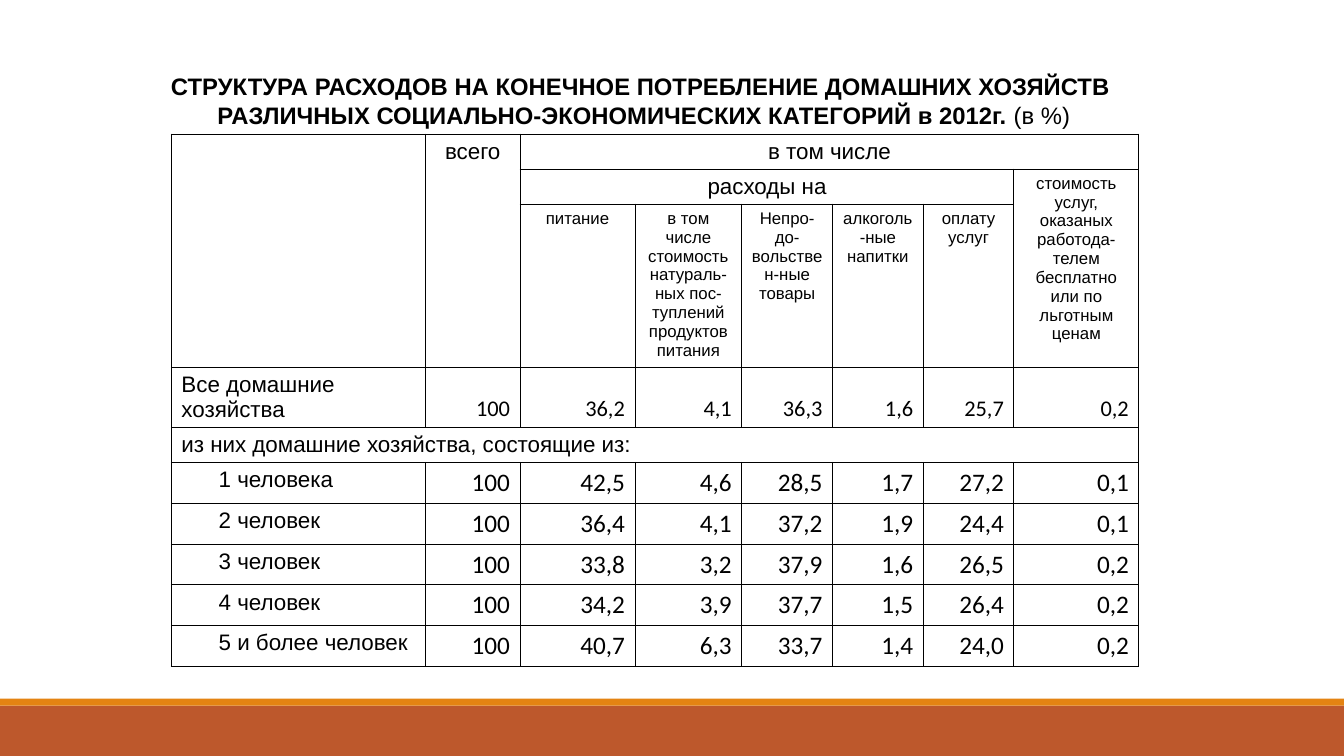
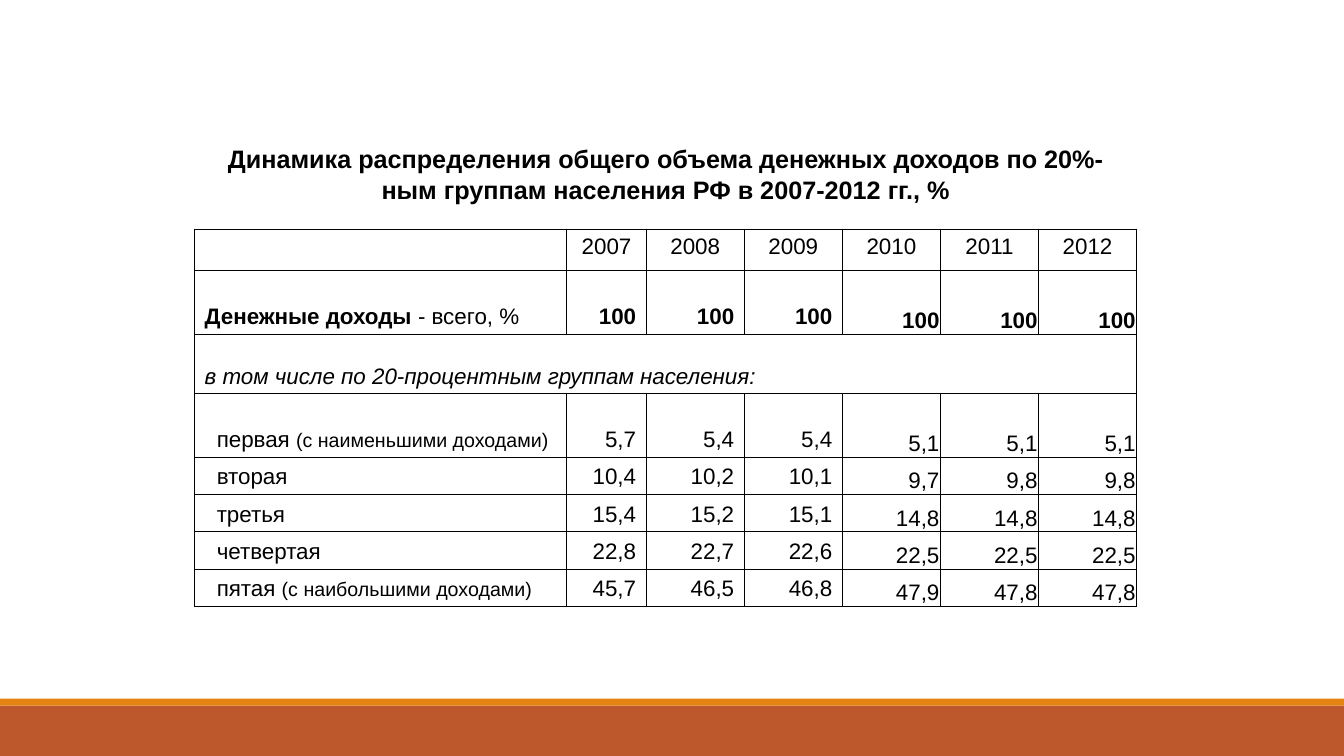
from pptx import Presentation
from pptx.dml.color import RGBColor
from pptx.enum.shapes import MSO_SHAPE
from pptx.enum.text import MSO_ANCHOR, PP_ALIGN
from pptx.oxml import parse_xml
from pptx.oxml.ns import nsdecls
from pptx.util import Inches, Pt

BLACK = RGBColor(0x00, 0x00, 0x00)
WHITE = RGBColor(0xFF, 0xFF, 0xFF)
RUST = RGBColor(0xBD, 0x58, 0x2C)
AMBER = RGBColor(0xE4, 0x83, 0x12)
LEFT, MID, RIGHT = PP_ALIGN.LEFT, PP_ALIGN.CENTER, PP_ALIGN.RIGHT
TOP, LOW = MSO_ANCHOR.TOP, MSO_ANCHOR.BOTTOM


class Deck:
    """Holds the style and the current slide; lengths are percents of its size."""

    font = "Arial"
    bands = ((93.33, 6.67, RUST), (92.4, 0.93, AMBER))

    def __init__(self):
        self.show = Presentation()
        self.show.slide_width = Inches(13.33)
        self.show.slide_height = Inches(7.5)
        self.slide = None

    def wide(self, share):
        return round(self.show.slide_width * share / 100)

    def high(self, share):
        return round(self.show.slide_height * share / 100)

    def box(self, left, top, width, height):
        return self.wide(left), self.high(top), self.wide(width), self.high(height)

    def page(self):
        self.slide = self.show.slides.add_slide(self.show.slide_layouts[6])
        for top, height, color in self.bands:
            self.band(top, height, color)

    def band(self, top, height, color):
        shape = self.slide.shapes.add_shape(
            MSO_SHAPE.RECTANGLE, *self.box(0, top, 100, height))
        shape.shadow.inherit = False
        shape.fill.solid()
        shape.fill.fore_color.rgb = color
        shape.line.fill.background()

    def style(self, runs, size, font=None, bold=False, slant=False):
        for run in runs:
            face = run.font
            face.name = font or self.font
            face.size = Pt(size)
            face.bold = bold
            face.italic = slant
            face.color.rgb = BLACK

    def tail(self, para, text, size):
        run = para.add_run()
        run.text = text
        self.style([run], size)

    def title(self, place, text, size, wrap=True):
        frame = self.slide.shapes.add_textbox(*self.box(*place)).text_frame
        frame.word_wrap = wrap
        frame.vertical_anchor = MSO_ANCHOR.MIDDLE
        para = frame.paragraphs[0]
        para.text = text
        para.alignment = MID
        self.style(para.runs, size, bold=True)
        return para

    def table(self, left, top, cols, rows):
        place = self.box(left, top, sum(cols), sum(rows))
        table = self.slide.shapes.add_table(len(rows), len(cols), *place).table
        table.first_row = table.horz_banding = False
        for col, share in zip(table.columns, cols):
            col.width = self.wide(share)
        for row, share in zip(table.rows, rows):
            row.height = self.high(share)
        for cell in table.iter_cells():
            self.frame(cell)
        return table

    def frame(self, cell):
        props = cell._tc.get_or_add_tcPr()
        for side in "LRTB":
            props.append(parse_xml(
                f'<a:ln{side} {nsdecls("a")} w="{Pt(0.75)}"><a:solidFill>'
                f'<a:srgbClr val="{BLACK}"/></a:solidFill></a:ln{side}>'))
        cell.fill.solid()
        cell.fill.fore_color.rgb = WHITE

    def put(self, cell, text, size=16, align=LEFT, anchor=TOP, indent=0, **look):
        cell.vertical_anchor = anchor
        cell.margin_left = Inches(0.1 + indent)
        para = cell.text_frame.paragraphs[0]
        para.text = text
        para.alignment = align
        self.style(para.runs, size, **look)
        return para

    def tight(self, cell):
        cell.margin_left = cell.margin_right = Inches(0.01)
        cell.margin_top = cell.margin_bottom = Inches(0.01)
        para = cell.text_frame.paragraphs[0]
        para.line_spacing = 1.15
        para.space_after = Pt(10)


def spend(deck):
    deck.page()
    table = deck.table(12.75, 17.73,
                       [18.9, 7.05, 8.55, 7.95, 6.75, 6.75, 6.75, 9.3],
                       [4.63, 4.63, 21.6, 7.9, 4.63] + [5.4] * 5)
    spans = ((0, 0, 2, 0), (0, 1, 2, 1), (0, 2, 0, 7),
             (1, 2, 1, 6), (1, 7, 2, 7), (4, 0, 4, 7))
    for top, left, low, right in spans:
        table.cell(top, left).merge(table.cell(low, right))
    heads = (
        (0, 1, 16, "всего"),
        (0, 2, 16, "в том числе"),
        (1, 2, 16, "расходы на"),
        (1, 7, 12, "стоимость услуг, оказаных работода-телем бесплатно "
                   "или по льготным ценам"),
        (2, 2, 12, "питание"),
        (2, 3, 12, "в том числе стоимость натураль-ных пос-туплений "
                   "продуктов питания"),
        (2, 4, 12, "Непро-до-вольствен-ные товары"),
        (2, 5, 12, "алкоголь-ные напитки"),
        (2, 6, 12, "оплату услуг"),
    )
    for row, col, size, text in heads:
        deck.put(table.cell(row, col), text, size, MID)
    deck.put(table.cell(4, 0), "из них домашние хозяйства, состоящие из:")
    data = {
        3: ("Все домашние хозяйства", "100 36,2 4,1 36,3 1,6 25,7 0,2"),
        5: ("1 человека", "100 42,5 4,6 28,5 1,7 27,2 0,1"),
        6: ("2 человек", "100 36,4 4,1 37,2 1,9 24,4 0,1"),
        7: ("3 человек", "100 33,8 3,2 37,9 1,6 26,5 0,2"),
        8: ("4 человек", "100 34,2 3,9 37,7 1,5 26,4 0,2"),
        9: ("5 и более человек", "100 40,7 6,3 33,7 1,4 24,0 0,2"),
    }
    for row, (name, line) in data.items():
        total = row == 3
        deck.put(table.cell(row, 0), name, anchor=LOW if total else TOP,
                 indent=0 if total else 0.37)
        for col, value in enumerate(line.split(), 1):
            deck.put(table.cell(row, col), value, 16 if total else 18,
                     RIGHT, LOW, font="Calibri")
    para = deck.title(
        (10.95, 8.8, 73.9, 8.93),
        "СТРУКТУРА РАСХОДОВ НА КОНЕЧНОЕ ПОТРЕБЛЕНИЕ ДОМАШНИХ ХОЗЯЙСТВ \v"
        "РАЗЛИЧНЫХ СОЦИАЛЬНО-ЭКОНОМИЧЕСКИХ КАТЕГОРИЙ в 2012г. ", 17, wrap=False)
    deck.tail(para, "(в %)", 17)


def income(deck):
    deck.page()
    table = deck.table(14.48, 30.3, [27.7, 5.9] + [7.3] * 5,
                       [5.5, 8.4, 7.9, 8.4] + [4.93] * 4)
    for col, year in enumerate(range(2007, 2013), 1):
        deck.put(table.cell(0, col), str(year), align=MID)
    table.cell(2, 0).merge(table.cell(2, 6))
    deck.put(table.cell(2, 0), "в том числе по 20-процентным группам населения:",
             anchor=LOW, slant=True)
    data = {
        1: ("Денежные доходы ", "- всего, %", "100 100 100 100 100 100"),
        3: ("первая ", "(с наименьшими доходами)", "5,7 5,4 5,4 5,1 5,1 5,1"),
        4: ("вторая", "", "10,4 10,2 10,1 9,7 9,8 9,8"),
        5: ("третья", "", "15,4 15,2 15,1 14,8 14,8 14,8"),
        6: ("четвертая", "", "22,8 22,7 22,6 22,5 22,5 22,5"),
        7: ("пятая ", "(с наибольшими доходами)", "45,7 46,5 46,8 47,9 47,8 47,8"),
    }
    for row, (name, note, line) in data.items():
        total = row == 1
        para = deck.put(table.cell(row, 0), name, anchor=LOW, bold=total,
                        indent=0 if total else 0.12)
        if note:
            deck.tail(para, note, 16 if total else 14)
        for col, value in enumerate(line.split(), 1):
            cell = table.cell(row, col)
            deck.put(cell, value, align=RIGHT, anchor=LOW, bold=total)
            if col > 3:
                deck.tight(cell)
    deck.title((14.48, 18.27, 70.1, 9.47),
               "Динамика распределения общего объема денежных доходов по "
               "20%-ным группам населения РФ в 2007-2012 гг., %", 18)


def main():
    deck = Deck()
    spend(deck)
    income(deck)
    deck.show.save("out.pptx")


if __name__ == "__main__":
    main()
